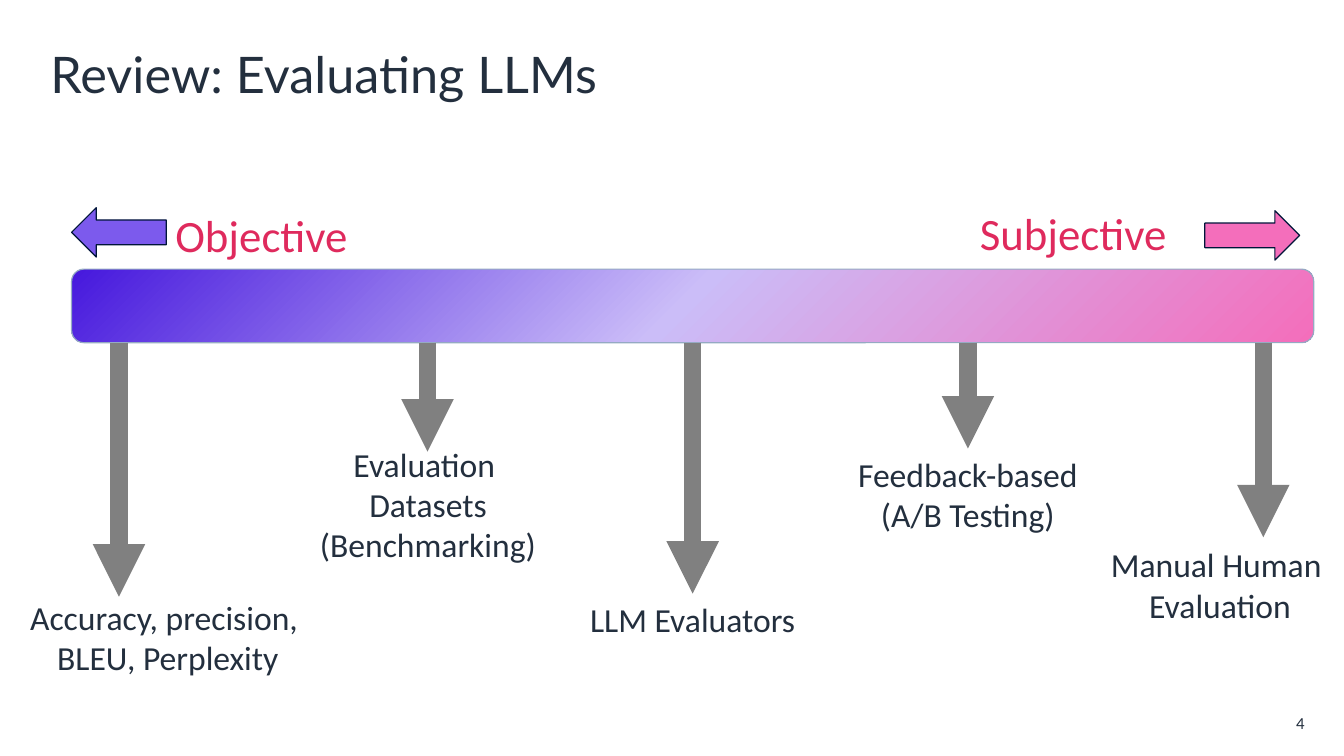
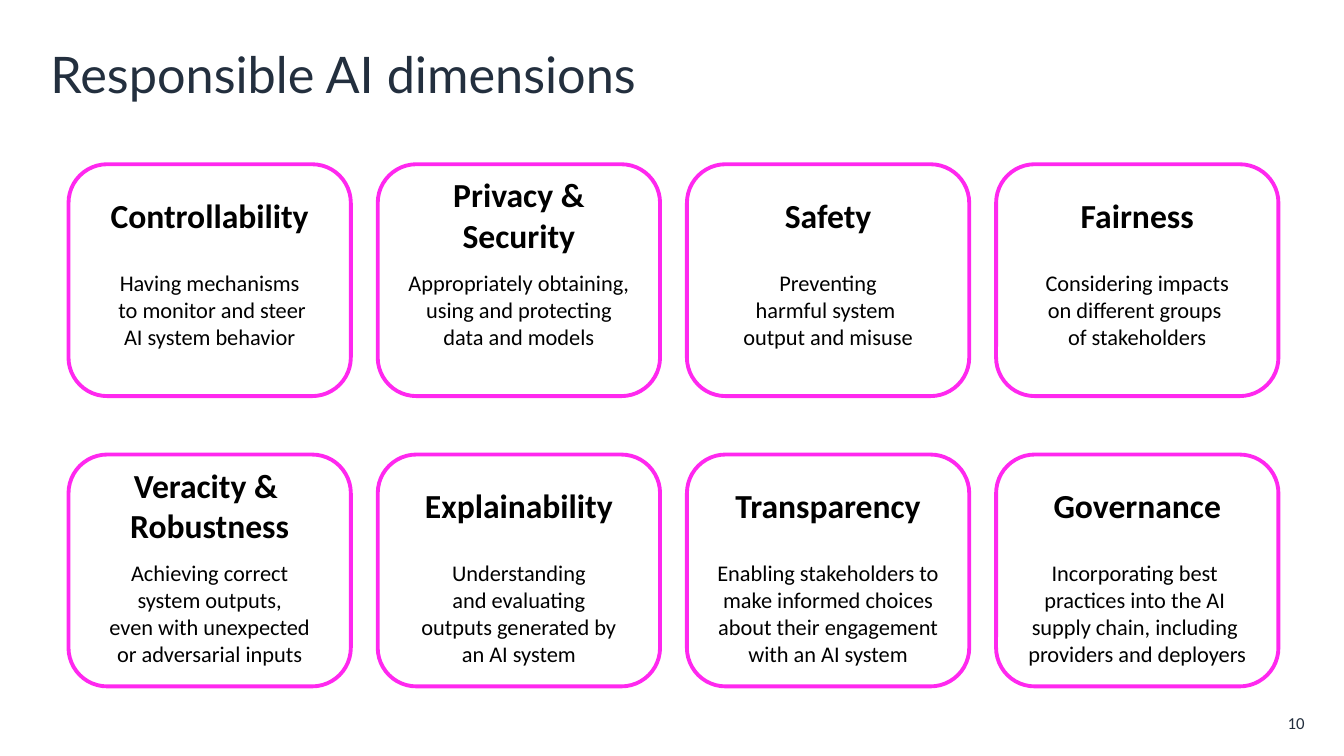
import copy
import dataclasses

import lxml.etree
import pptx
import pptx.dml.color
import pptx.enum.shapes
import pptx.enum.text
import pptx.oxml.ns
import pptx.util

Inches = pptx.util.Inches
Pt = pptx.util.Pt
qn = pptx.oxml.ns.qn
Shape = pptx.enum.shapes.MSO_SHAPE
Align = pptx.enum.text.PP_ALIGN
Anchor = pptx.enum.text.MSO_ANCHOR
Fit = pptx.enum.text.MSO_AUTO_SIZE


@dataclasses.dataclass(frozen=True)
class Theme:
    """Holds the colours, fonts and type sizes of the deck."""
    ink: str = "232F3E"
    black: str = "000000"
    rose: str = "DF2A5D"
    pink: str = "F46EBB"
    lilac: str = "CBBDF8"
    violet: str = "7C5AED"
    indigo: str = "4618DD"
    navy: str = "001539"
    steel: str = "95AAC3"
    grey: str = "808080"
    frame: str = "FF28EF"
    head_font: str = "Lato"
    text_font: str = "Calibri"
    title: int = 36
    pole: int = 32
    label: int = 24
    body: int = 16
    note: int = 12
    thin: float = 0.85
    edge: float = 2.75
    thick: float = 12.5


THEME = Theme()

METHODS = [
    (1.18, 5.92, (0.01, 5.87, 3.31, 0.91), ["Accuracy, precision, \nBLEU, Perplexity"], False),
    (4.24, 4.48, (2.92, 4.35, 2.65, 1.31), ["Evaluation ", "Datasets\n(Benchmarking)"], False),
    (6.87, 5.89, (5.59, 5.89, 2.56, 0.5), ["LLM Evaluators"], True),
    (9.6, 4.45, (8.25, 4.45, 2.7, 0.91), ["Feedback-based\n(A/B Testing)"], True),
    (12.53, 5.33, (10.78, 5.35, 2.64, 0.91), ["Manual Human ", "Evaluation"], False),
]

CARDS = [
    (["Controllability"],
     ["Having mechanisms", " to monitor and steer", "AI system behavior"]),
    (["Privacy &", "Security"],
     ["Appropriately obtaining,", "using and protecting", "data and models"]),
    (["Safety"],
     ["Preventing", "harmful system ", "output and misuse"]),
    (["Fairness"],
     ["Considering impacts", "on different groups ", "of stakeholders"]),
    (["Veracity & ", "Robustness"],
     ["Achieving correct", "system outputs,", "even with unexpected", "or adversarial inputs"]),
    (["Explainability"],
     ["Understanding", "and evaluating", "outputs generated by", "an AI system"]),
    (["Transparency"],
     ["Enabling stakeholders to", "make informed choices", "about their engagement",
      "with an AI system"]),
    (["Governance"],
     ["Incorporating best ", "practices into the AI ", "supply chain, including ",
      "providers and deployers"]),
]


def tint(code):
    """Turns a hex code into a colour."""
    return pptx.dml.color.RGBColor.from_string(code)


def place(box):
    """Turns left, top, width and height into lengths."""
    return [Inches(side) for side in box]


def write(frame, paras, size, hue, align=Align.LEFT, font=THEME.text_font, bold=False):
    """Fills a text frame, with a line break at each newline."""
    for index, para in enumerate(paras):
        target = frame.add_paragraph() if index else frame.paragraphs[0]
        target.alignment = align
        for row, line in enumerate(para.split("\n")):
            if row:
                target.add_line_break()
            run = target.add_run()
            run.text = line
            run.font.size = Pt(size)
            run.font.name = font
            run.font.bold = bold
            run.font.color.rgb = tint(hue)


def add_text(shapes, box, paras, size, hue, flush=False, anchor=Anchor.TOP, **style):
    """Adds a text box, flush to its edges or grown to fit its text."""
    item = shapes.add_textbox(*place(box))
    frame = item.text_frame
    frame.word_wrap = False
    frame.vertical_anchor = anchor
    if flush:
        frame.margin_left = frame.margin_right = frame.margin_top = frame.margin_bottom = 0
    else:
        frame.auto_size = Fit.SHAPE_TO_FIT_TEXT
    write(frame, paras, size, hue, **style)
    return item


def add_form(shapes, kind, box, line, width, fill=None):
    """Adds an outlined shape, hollow if no fill is given."""
    item = shapes.add_shape(kind, *place(box))
    item.shadow.inherit = False
    item.line.color.rgb = tint(line)
    item.line.width = Pt(width)
    if fill:
        item.fill.solid()
        item.fill.fore_color.rgb = tint(fill)
    else:
        item.fill.background()
    return item


def blend(item, stops, angle):
    """Gives a shape a linear gradient of three stops."""
    item.fill.gradient()
    item.fill.gradient_angle = angle
    chain = item._element.spPr.find(".//" + qn("a:gsLst"))
    chain.append(copy.deepcopy(chain[-1]))
    for stop, (spot, hue) in zip(item.fill.gradient_stops, stops):
        stop.position = spot
        stop.color.rgb = tint(hue)


def add_arrow(shapes, left, top, end):
    """Adds a thick arrow that points down."""
    arrow = shapes.add_connector(pptx.enum.shapes.MSO_CONNECTOR.STRAIGHT,
                                 *place((left, top, left, end)))
    arrow.line.color.rgb = tint(THEME.grey)
    arrow.line.width = Pt(THEME.thick)
    props = arrow._element.spPr
    lxml.etree.SubElement(props.find(qn("a:ln")), qn("a:tailEnd"), type="triangle")
    lxml.etree.SubElement(props, qn("a:effectLst"))
    return arrow


def add_slide(deck, title, number):
    """Adds a slide with its title and page number."""
    slide = deck.slides.add_slide(deck.slide_layouts[5])
    head = slide.shapes.title
    head.left, head.top, head.width, head.height = place((0.4, 0.33, 12.54, 0.8))
    head.text_frame.vertical_anchor = Anchor.MIDDLE
    write(head.text_frame, [title], THEME.title, THEME.ink, font=THEME.head_font)
    add_text(slide.shapes, (12.41, 7.05, 0.53, 0.25), [number], THEME.note, THEME.ink,
             flush=True, anchor=Anchor.MIDDLE, align=Align.RIGHT)
    return slide.shapes


def draw_scale(shapes):
    """Draws the scale of methods from objective to subjective."""
    bar = add_form(shapes, Shape.ROUNDED_RECTANGLE, (0.71, 2.67, 12.32, 0.73),
                   THEME.steel, THEME.thin)
    blend(bar, [(0, THEME.indigo), (0.49, THEME.lilac), (1, THEME.pink)], 315)
    poles = [
        ("Objective", (1.64, 2.01, 2.15, 0.64), Shape.LEFT_ARROW, 0.71, 2.06, THEME.violet),
        ("Subjective", (9.62, 1.99, 2.33, 0.64), Shape.RIGHT_ARROW, 11.95, 2.09, THEME.pink),
    ]
    for name, box, kind, left, top, fill in poles:
        add_text(shapes, box, [name], THEME.pole, THEME.rose)
        add_form(shapes, kind, (left, top, 0.94, 0.49), THEME.navy, THEME.thin, fill)
    for left, end, box, paras, joined in METHODS:
        arrow = add_arrow(shapes, left, 3.4, end)
        label = add_text(shapes, box, paras, THEME.label, THEME.ink, align=Align.CENTER)
        if left == 6.87:
            arrow.begin_connect(bar, 2)
        if joined:
            arrow.end_connect(label, 0)


def add_card(shapes, left, top, head, body):
    """Adds a framed card with a heading and a short text."""
    group = shapes.add_group_shape().shapes
    add_form(group, Shape.ROUNDED_RECTANGLE, (left, top, 2.8, 2.3), THEME.frame, THEME.edge)
    add_text(group, (left, top, 2.8, 1), head, THEME.label, THEME.black, flush=True,
             anchor=Anchor.MIDDLE, align=Align.CENTER, bold=True)
    add_text(group, (left, top + 1.04, 2.8, 1.2), body, THEME.body, THEME.black,
             flush=True, align=Align.CENTER)


def draw_cards(shapes):
    """Lays out the cards in rows of four."""
    step = (9.88 - 0.68) / 3
    for index, (head, body) in enumerate(CARDS):
        row, col = divmod(index, 4)
        add_card(shapes, 0.68 + col * step, 1.63 + row * 2.88, head, body)


def main():
    """Builds and saves the deck."""
    deck = pptx.Presentation()
    deck.slide_width, deck.slide_height = Inches(13.33), Inches(7.5)
    draw_scale(add_slide(deck, "Review: Evaluating LLMs", "4"))
    draw_cards(add_slide(deck, "Responsible AI dimensions", "10"))
    deck.save("out.pptx")


if __name__ == "__main__":
    main()
